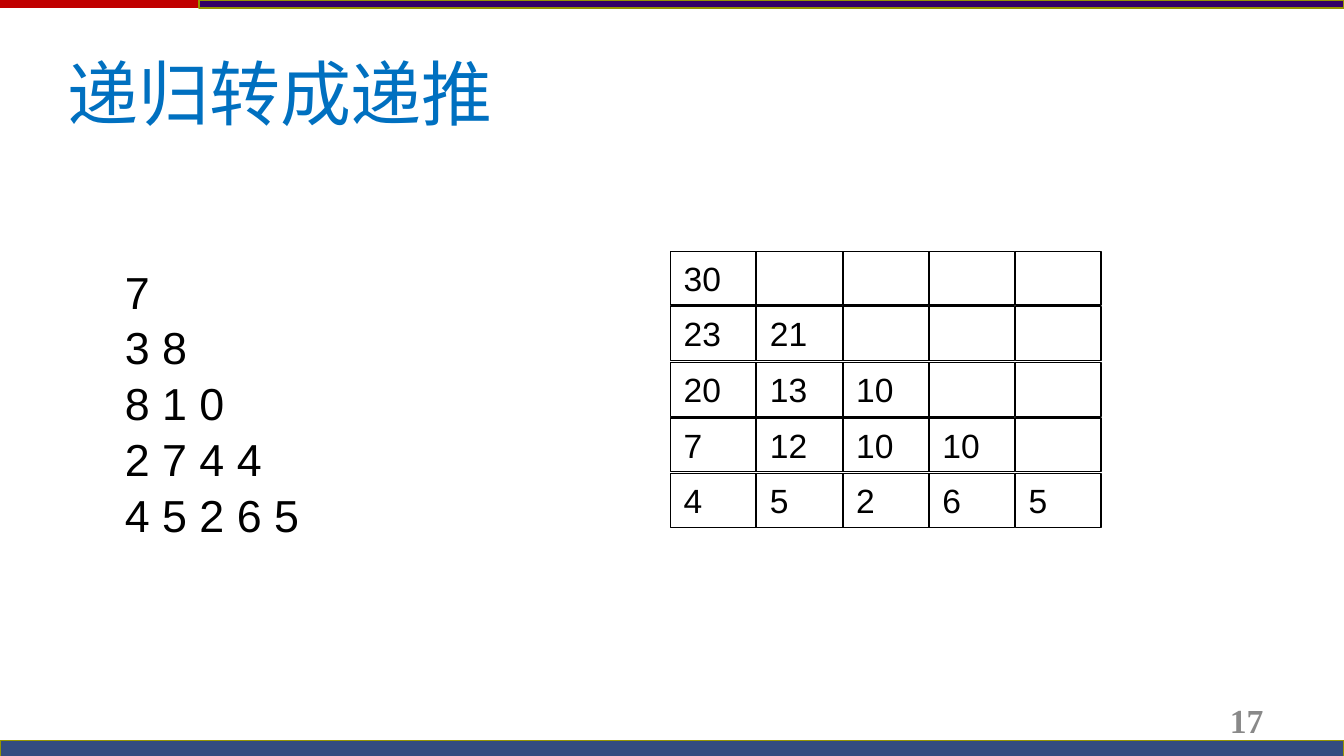
from lxml.etree import SubElement
from pptx import Presentation
from pptx.dml.color import RGBColor
from pptx.enum.shapes import MSO_SHAPE as Shape
from pptx.enum.text import MSO_ANCHOR as Anchor, PP_ALIGN as Align
from pptx.oxml.ns import qn
from pptx.util import Cm, Pt

TRIANGLE = ["7", "3 8", "8 1 0", "2 7 4 4", "4 5 2 6 5"]
BEST_SUMS = [[30], [23, 21], [20, 13, 10], [7, 12, 10, 10], [4, 5, 2, 6, 5]]
GRID_LEFT, GRID_TOP = 12.67, 4.75
COLUMN_STEP, ROW_STEP = 1.63, 1.05
CELL_WIDTH, CELL_HEIGHT = 1.62, 1.02


def color(code):
    return RGBColor.from_string(code)


def set_text(shape, lines, size, code, font="Arial", bold=False,
             align=Align.LEFT, spacing=None):
    frame = shape.text_frame
    frame.word_wrap = True
    frame.text = "\n".join(lines)
    for para in frame.paragraphs:
        para.alignment = align
        para.line_spacing = spacing
        for span in para.runs:
            span.font.size = Pt(size)
            span.font.name = font
            span.font.bold = bold
            span.font.color.rgb = color(code)
            SubElement(span.font._element, qn("a:ea"), typeface=font)


def add_text(page, left, top, width, height, lines, size, code, **style):
    box = page.shapes.add_textbox(Cm(left), Cm(top), Cm(width), Cm(height))
    set_text(box, lines, size, code, **style)
    return box


def add_rect(page, left, top, width, height, fill=None, line=None, weight=0):
    rect = page.shapes.add_shape(
        Shape.RECTANGLE, Cm(left), Cm(top), Cm(width), Cm(height))
    rect.shadow.inherit = False
    if fill:
        rect.fill.solid()
        rect.fill.fore_color.rgb = color(fill)
    else:
        rect.fill.background()
    if line:
        rect.line.color.rgb = color(line)
        rect.line.width = Pt(weight)
    else:
        rect.line.fill.background()
    return rect


def set_opacity(shape, percent):
    fill = shape._element.spPr.find(qn("a:solidFill"))
    SubElement(fill[0], qn("a:alpha"), val=str(percent * 1000))


def add_bars(page):
    add_rect(page, 0, 0, 25.4, 0.15, "C00000")
    add_rect(page, 3.76, 0, 21.64, 0.15, "330066", "959500")
    footer = add_rect(page, 0, 14, 25.4, 0.3, "002060", "959500")
    set_opacity(footer, 80)


def add_sum_grid(page):
    size = len(BEST_SUMS)
    for row, sums in enumerate(BEST_SUMS):
        for column in range(size):
            cell = add_rect(page, GRID_LEFT + column * COLUMN_STEP,
                            GRID_TOP + row * ROW_STEP,
                            CELL_WIDTH, CELL_HEIGHT,
                            line="000000", weight=0.75)
            if column < len(sums):
                cell.text_frame.vertical_anchor = Anchor.TOP
                set_text(cell, [str(sums[column])], 18, "000000")


def main():
    deck = Presentation()
    deck.slide_width, deck.slide_height = Cm(25.4), Cm(14.29)
    page = deck.slides.add_slide(deck.slide_layouts[6])
    add_bars(page)
    number = add_text(page, 18.21, 13.23, 5.92, 0.76, ["17"], 18, "898989",
                      font="Times New Roman", bold=True, align=Align.RIGHT)
    number.text_frame.vertical_anchor = Anchor.MIDDLE
    add_text(page, 2.11, 4.83, 6.4, 5.33, TRIANGLE, 24, "000000", spacing=1.04)
    add_text(page, 1.02, 0.99, 12.7, 1.7, ["递归转成递推"], 38, "0070C0",
             font="Noto Sans CJK SC", spacing=0.9)
    add_sum_grid(page)
    deck.save("out.pptx")


if __name__ == "__main__":
    main()
